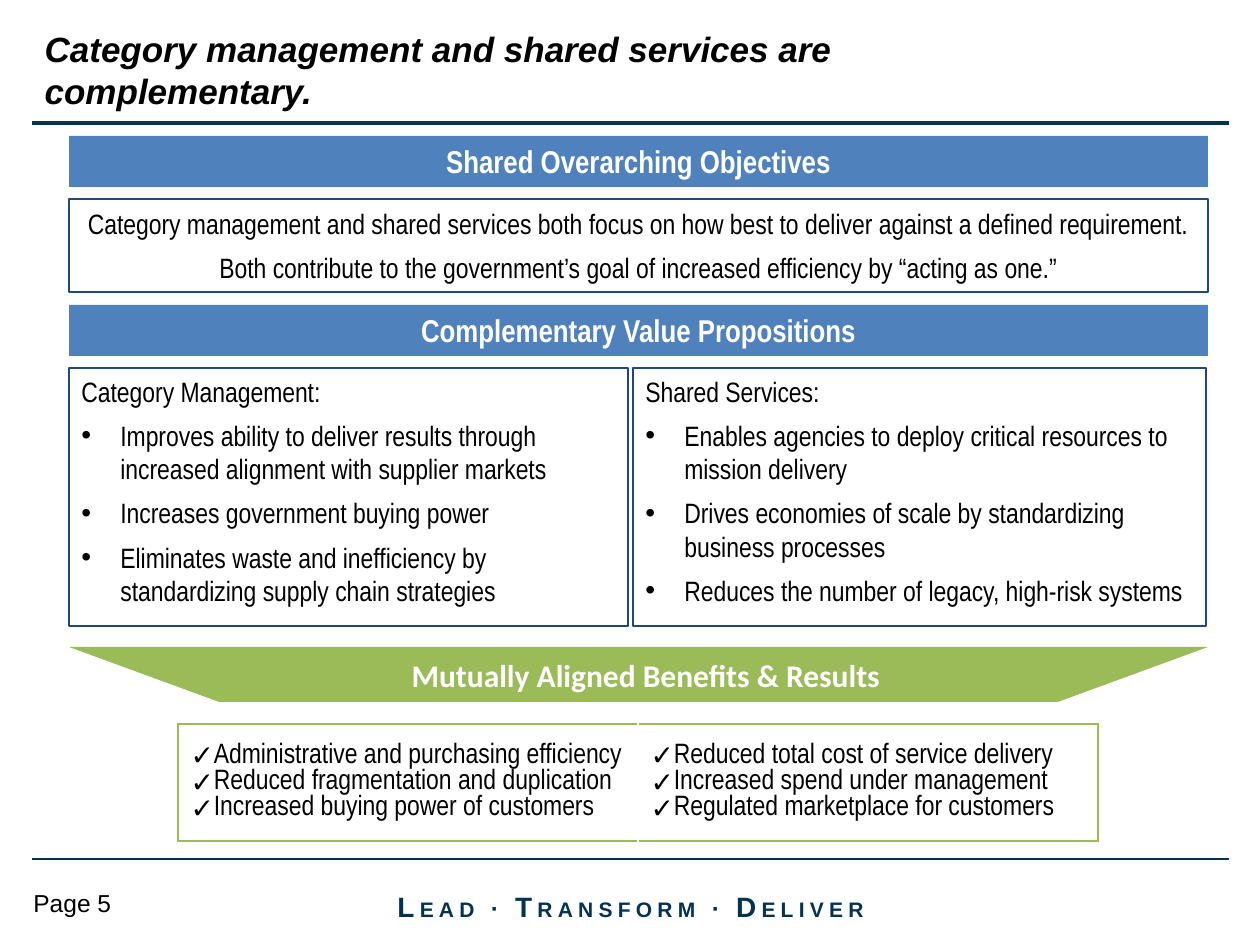
from lxml.etree import SubElement
from pptx import Presentation
from pptx.dml.color import RGBColor
from pptx.enum.shapes import MSO_CONNECTOR, MSO_SHAPE
from pptx.enum.text import MSO_ANCHOR, MSO_AUTO_SIZE, PP_ALIGN
from pptx.oxml.ns import qn
from pptx.util import Emu, Pt

NAVY = RGBColor(0x04, 0x32, 0x53)
OUTLINE = RGBColor(0x1F, 0x49, 0x7D)
BLUE = RGBColor(0x4F, 0x81, 0xBD)
GREEN = RGBColor(0x9B, 0xBB, 0x59)
WHITE = RGBColor(0xFF, 0xFF, 0xFF)
BLACK = RGBColor(0, 0, 0)

BODY = {"name": "Arial Narrow", "size": Pt(16), "color": BLACK}
HEADING = {"name": "Arial Narrow", "size": Pt(18), "color": WHITE, "bold": True}
BENEFIT_HEADING = {**HEADING, "name": "Calibri"}
TITLE = {"name": "Arial", "size": Pt(20), "color": BLACK, "bold": True, "italic": True}
PAGE = {"name": "Arial", "size": Pt(14), "color": BLACK}
MOTTO = {"name": "Arial", "color": NAVY, "bold": True}

LEFT, WIDTH = 69, 1139
VALUES = [
    (LEFT, 559, [
        "Category Management:",
        "Improves ability to deliver results through increased alignment with supplier markets",
        "Increases government buying power",
        "Eliminates waste and inefficiency by standardizing supply chain strategies",
    ]),
    (633, 573, [
        "Shared Services:",
        "Enables agencies to deploy critical resources to mission delivery",
        "Drives economies of scale by standardizing business processes",
        "Reduces the number of legacy, high-risk systems",
    ]),
]
BENEFITS = [
    ["Administrative and purchasing efficiency",
     "Reduced fragmentation and duplication",
     "Increased buying power of customers"],
    ["Reduced total cost of service delivery",
     "Increased spend under management",
     "Regulated marketplace for customers"],
]
MOTTO_RUNS = [("L", 16), ("EAD ", 12), ("∙ ", 14), ("T", 16), ("RANSFORM ", 12),
              ("∙ ", 14), ("D", 16), ("ELIVER", 12)]


def px(length):
    return Emu(round(length * 914400 / 126))


def box(*lengths):
    return [px(length) for length in lengths]


def add_run(paragraph, text, style):
    run = paragraph.add_run()
    run.text = text
    for key, value in style.items():
        if key == "color":
            run.font.color.rgb = value
        else:
            setattr(run.font, key, value)
    return run


def add_bullet(paragraph, character, margin, indent):
    properties = paragraph._p.get_or_add_pPr()
    properties.set("marL", str(px(margin)))
    properties.set("indent", str(px(indent)))
    SubElement(properties, qn("a:buFont")).set("typeface", "Arial")
    SubElement(properties, qn("a:buChar")).set("char", character)


def write_paragraphs(frame, texts, style, align=PP_ALIGN.LEFT, gap=0, bullet=None,
                     first_bullet=0, line_spacing=None):
    for index, text in enumerate(texts):
        paragraph = frame.add_paragraph() if index else frame.paragraphs[0]
        if bullet and index >= first_bullet:
            add_bullet(paragraph, *bullet)
        paragraph.alignment = align
        paragraph.line_spacing = line_spacing
        if index and gap:
            paragraph.space_before = Pt(gap)
        add_run(paragraph, text, style)


def add_block(shapes, kind, bounds, fill, line=None, anchor=MSO_ANCHOR.TOP):
    shape = shapes.add_shape(kind, *box(*bounds))
    shape.shadow.inherit = False
    shape.fill.solid()
    shape.fill.fore_color.rgb = fill
    if line is None:
        shape.line.fill.background()
    else:
        shape.line.color.rgb = line
        shape.line.width = Pt(0.75)
    shape.text_frame.word_wrap = True
    shape.text_frame.vertical_anchor = anchor
    return shape


def add_heading(slide, top, text):
    shape = add_block(slide.shapes, MSO_SHAPE.RECTANGLE, (LEFT, top, WIDTH, 51), BLUE)
    write_paragraphs(shape.text_frame, [text], HEADING, PP_ALIGN.CENTER)


def add_rule(slide, top, width):
    rule = slide.shapes.add_connector(MSO_CONNECTOR.STRAIGHT, *box(32, top, 1229, top))
    rule.line.color.rgb = NAVY
    rule.line.width = Pt(width)
    SubElement(rule._element.spPr, qn("a:effectLst"))


def add_title(slide, text):
    title = slide.shapes.title
    title.left, title.top, title.width, title.height = box(32, 21, 998, 95)
    frame = title.text_frame
    frame.auto_size = MSO_AUTO_SIZE.NONE
    frame.vertical_anchor = MSO_ANCHOR.TOP
    write_paragraphs(frame, [text], TITLE)


def add_footer(slide):
    page = slide.shapes.add_textbox(*box(21, 882, 158, 42))
    page.text_frame.word_wrap = True
    write_paragraphs(page.text_frame, ["Page 5"], PAGE)
    motto = slide.shapes.add_textbox(*box(357, 881, 547, 50))
    motto.text_frame.word_wrap = True
    motto.text_frame.vertical_anchor = MSO_ANCHOR.MIDDLE
    paragraph = motto.text_frame.paragraphs[0]
    paragraph.alignment = PP_ALIGN.CENTER
    for text, size in MOTTO_RUNS:
        run = add_run(paragraph, text, {**MOTTO, "size": Pt(size)})
        run.font._element.set("spc", "300")


def add_benefit_banner(slide):
    group = slide.shapes.add_group_shape()
    banner = add_block(group.shapes, MSO_SHAPE.TRAPEZOID, (LEFT, 647, WIDTH, 55), GREEN)
    banner.adjustments[0] = 2.73
    banner._element.spPr.xfrm.set("flipV", "1")
    label = add_block(group.shapes, MSO_SHAPE.RECTANGLE, (340, 656, 612, 38), GREEN,
                      anchor=MSO_ANCHOR.MIDDLE)
    frame = label.text_frame
    for side in ("left", "top", "right", "bottom"):
        setattr(frame, f"margin_{side}", 0)
    write_paragraphs(frame, ["Mutually Aligned Benefits & Results"], BENEFIT_HEADING,
                     PP_ALIGN.CENTER)


def set_borders(cell, colors):
    properties = cell._tc.get_or_add_tcPr()
    for side, color in colors.items():
        border = SubElement(properties, qn(f"a:ln{side}"), w=str(Pt(1)))
        fill = SubElement(border, qn("a:solidFill"))
        SubElement(fill, qn("a:srgbClr")).set("val", str(color))


def add_benefit_table(slide):
    table = slide.shapes.add_table(1, 2, *box(178, 724, 920, 117)).table
    table.first_row = table.horz_banding = False
    for index, (cell, texts) in enumerate(zip(table.rows[0].cells, BENEFITS)):
        left, right = (WHITE, GREEN) if index else (GREEN, WHITE)
        set_borders(cell, {"L": left, "R": right, "T": GREEN, "B": GREEN})
        cell.fill.background()
        cell.vertical_anchor = MSO_ANCHOR.MIDDLE
        write_paragraphs(cell.text_frame, texts, BODY, bullet=("✓", 19, -25),
                         line_spacing=Pt(15))


def main():
    presentation = Presentation()
    presentation.slide_width, presentation.slide_height = box(1260, 945)
    slide = presentation.slides.add_slide(presentation.slide_layouts[5])
    add_rule(slide, 859, 0.75)
    add_rule(slide, 123, 2.25)
    add_footer(slide)
    add_title(slide, "Category management and shared services are complementary.")
    for left, width, texts in VALUES:
        column = add_block(slide.shapes, MSO_SHAPE.RECTANGLE, (left, 368, width, 258),
                           WHITE, OUTLINE)
        write_paragraphs(column.text_frame, texts, BODY, gap=6, bullet=("•", 39, -39),
                         first_bullet=1)
    add_heading(slide, 136, "Shared Overarching Objectives")
    add_heading(slide, 305, "Complementary Value Propositions")
    add_benefit_banner(slide)
    add_benefit_table(slide)
    objectives = add_block(slide.shapes, MSO_SHAPE.RECTANGLE, (LEFT, 199, WIDTH, 93),
                           WHITE, OUTLINE, MSO_ANCHOR.MIDDLE)
    write_paragraphs(objectives.text_frame, [
        "Category management and shared services both focus on how best to deliver "
        "against a defined requirement.",
        "Both contribute to the government’s goal of increased efficiency by “acting as one.”",
    ], BODY, PP_ALIGN.CENTER, gap=6)
    presentation.save("out.pptx")


if __name__ == "__main__":
    main()
